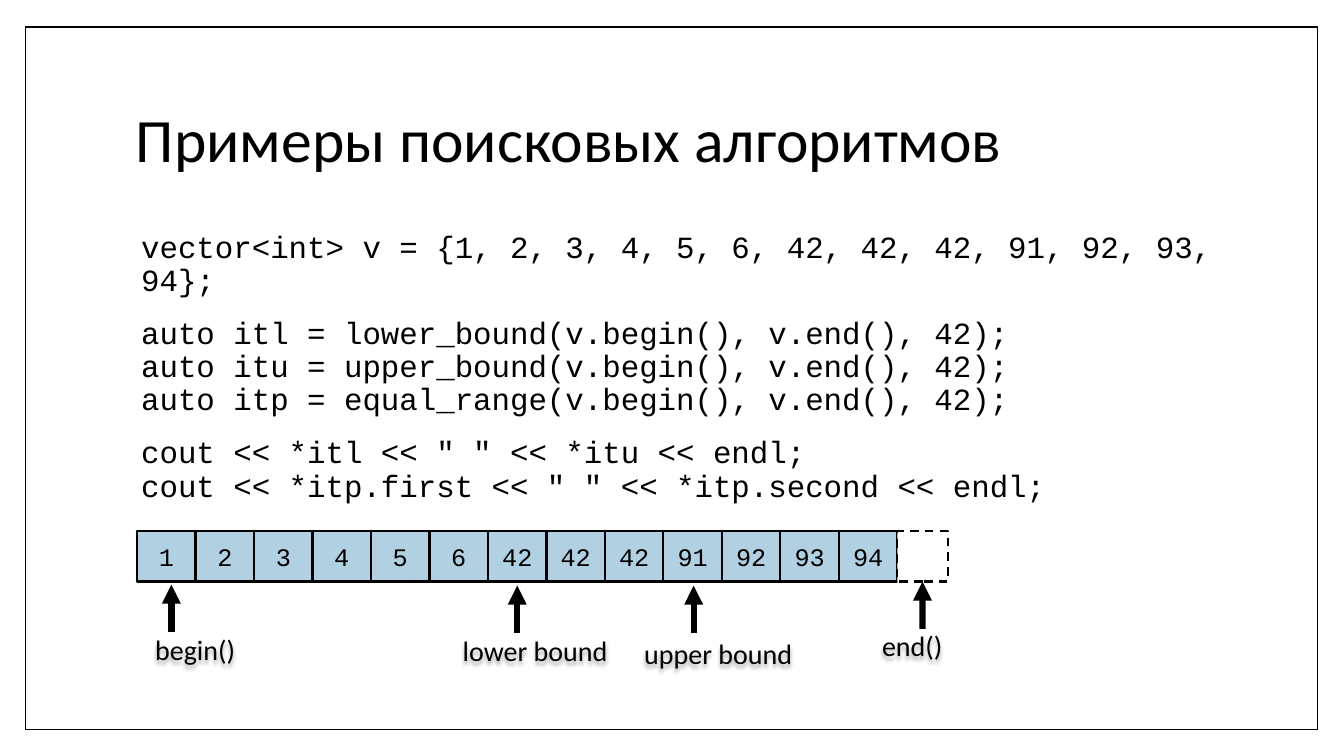
from lxml import etree
from pptx import Presentation
from pptx.dml.color import RGBColor
from pptx.enum import dml, shapes, text
from pptx.oxml import ns
from pptx.util import Inches, Pt

TITLE = "Примеры поисковых алгоритмов"
CODE = [
    "vector<int> v = {1, 2, 3, 4, 5, 6, 42, 42, 42, 91, 92, 93, 94};",
    "auto itl = lower_bound(v.begin(), v.end(), 42);\v"
    "auto itu = upper_bound(v.begin(), v.end(), 42);\v"
    "auto itp = equal_range(v.begin(), v.end(), 42);",
    'cout << *itl << " " << *itu << endl;\v'
    'cout << *itp.first << " " << *itp.second << endl;',
]
VALUES = [1, 2, 3, 4, 5, 6, 42, 42, 42, 91, 92, 93, 94]
POINTERS = [
    ("begin()", 1.44, 6.23, 1.3, 1.7, 5.8),
    ("lower bound", 4.49, 6.24, 1.68, 5.13, 5.81),
    ("upper bound", 6.29, 6.27, 1.68, 6.88, 5.81),
    ("end()", 8.65, 6.19, 1.3, 9.15, 5.77),
]
ROW_LEFT, ROW_TOP, CELL_WIDTH, CELL_HEIGHT = 1.36, 5.27, 0.58, 0.5
ARROW_LENGTH = 0.47


def color(value):
    return RGBColor.from_string(value)


def apply(target, formats):
    for name, value in formats.items():
        setattr(target, name, value)


def write(shape, lines, size, font="Calibri", frame=None, para=None):
    apply(shape.text_frame, {"word_wrap": True, **(frame or {})})
    for index, line in enumerate(lines):
        paragraphs = shape.text_frame.paragraphs
        paragraph = shape.text_frame.add_paragraph() if index else paragraphs[0]
        paragraph.text = line
        apply(paragraph, para or {})
        if index:
            paragraph.space_before = Pt(14)
        for span in paragraph.runs:
            apply(span.font, {"name": font, "size": Pt(size)})
            span.font.color.rgb = color("000000")


def add_text(page, place, lines, size, **options):
    box = page.shapes.add_textbox(*map(Inches, place))
    write(box, lines, size, **options)
    return box


def add_box(page, place, fill, width=1.5, dash=None):
    box = page.shapes.add_shape(shapes.MSO_SHAPE.RECTANGLE, *map(Inches, place))
    box.shadow.inherit = False
    box.fill.solid()
    box.fill.fore_color.rgb = color(fill)
    box.line.color.rgb = color("000000")
    apply(box.line, {"width": Pt(width), "dash_style": dash})
    return box


def add_cell(page, left, value):
    cell = add_box(page, (left, ROW_TOP, CELL_WIDTH, CELL_HEIGHT), "B1D1E3")
    write(cell, [str(value)], 18, "Courier New",
          frame={"vertical_anchor": text.MSO_ANCHOR.MIDDLE},
          para={"alignment": text.PP_ALIGN.CENTER})


def add_arrow(page, x, tip):
    arrow = page.shapes.add_connector(
        shapes.MSO_CONNECTOR.STRAIGHT,
        *map(Inches, (x, tip + ARROW_LENGTH, x, tip)))
    arrow.line.color.rgb = color("000000")
    arrow.line.width = Pt(4.5)
    etree.SubElement(arrow.line._get_or_add_ln(), ns.qn("a:tailEnd"), type="triangle")
    etree.SubElement(arrow._element.spPr, ns.qn("a:effectLst"))
    return arrow


def add_soft_shadow(box):
    effects = etree.SubElement(box._element.spPr, ns.qn("a:effectLst"))
    shadow = etree.SubElement(effects, ns.qn("a:outerShdw"), blurRad="40000",
                              dist="23000", dir="5400000", rotWithShape="0")
    tint = etree.SubElement(shadow, ns.qn("a:srgbClr"), val="000000")
    etree.SubElement(tint, ns.qn("a:alpha"), val="35000")


def add_pointer(page, label, left, top, width, x, tip):
    box = add_text(page, (left, top, width, 0.44), [label], 20)
    add_soft_shadow(box)
    return add_arrow(page, x, tip)


def main():
    deck = Presentation()
    apply(deck, {"slide_width": Inches(13.33), "slide_height": Inches(7.5)})
    page = deck.slides.add_slide(deck.slide_layouts[6])

    add_box(page, (0.25, 0.27, 12.82, 6.97), "FFFFFF", width=1)
    add_text(page, (1.25, 0.67, 10.8, 1.48), [TITLE], 44,
             frame={"vertical_anchor": text.MSO_ANCHOR.MIDDLE},
             para={"line_spacing": 0.9})
    add_text(page, (1.25, 2.25, 11.41, 2.68), CODE, 22, font="Courier New",
             frame={"margin_left": Inches(0.15)}, para={"line_spacing": 0.9})

    for index, value in enumerate(VALUES):
        add_cell(page, ROW_LEFT + index * CELL_WIDTH, value)
    row_end = ROW_LEFT + len(VALUES) * CELL_WIDTH
    past_end = add_box(page, (row_end, ROW_TOP, 0.5, CELL_HEIGHT), "FFFFFF",
                       dash=dml.MSO_LINE.DASH)

    arrows = [add_pointer(page, *pointer) for pointer in POINTERS]
    arrows[-1].end_connect(past_end, 2)

    deck.save("out.pptx")


if __name__ == "__main__":
    main()
